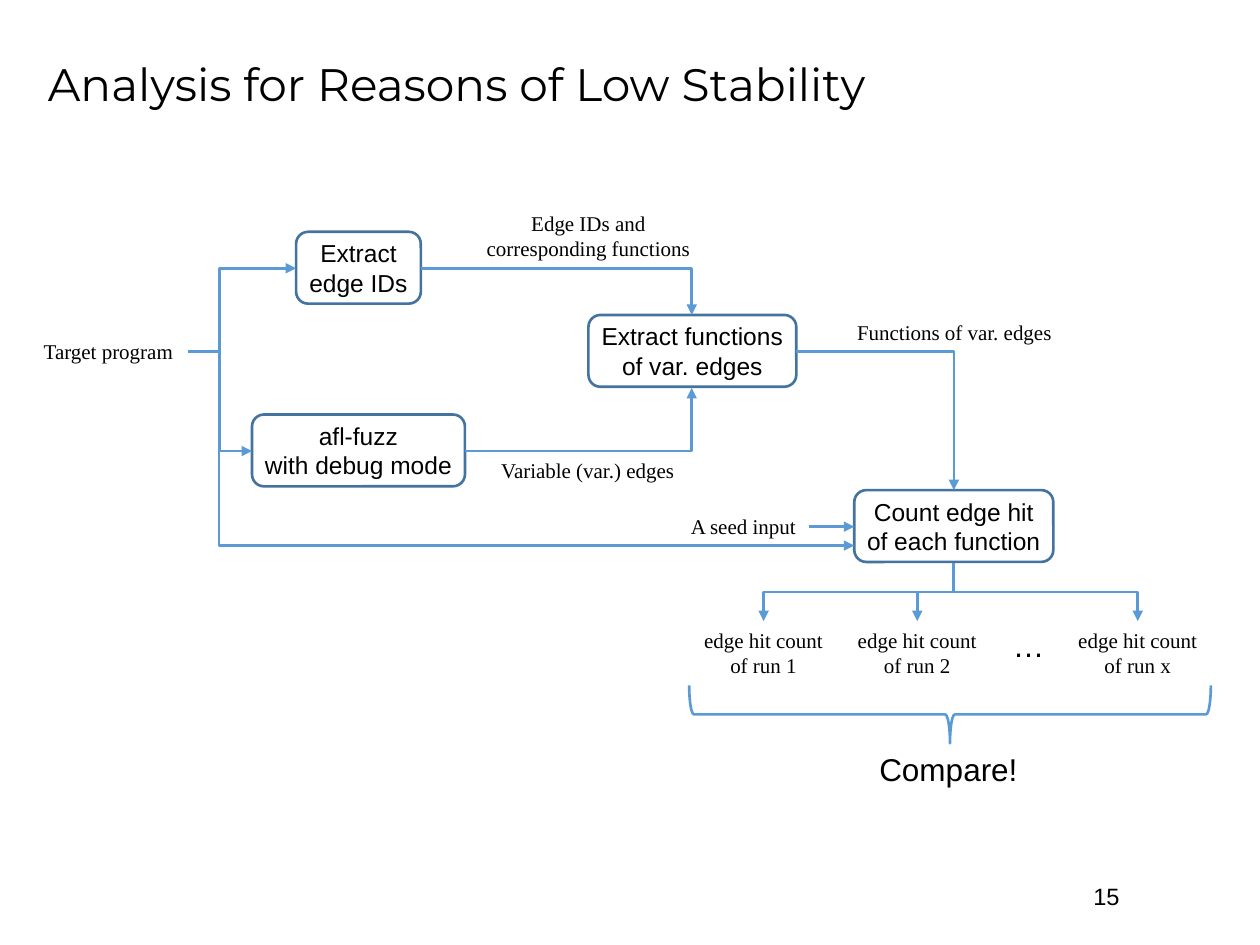
import pptx
import pptx.util
import pptx.dml.color
import pptx.enum.shapes
import pptx.enum.text
import pptx.oxml
import pptx.oxml.ns
from lxml import etree

Inches = pptx.util.Inches
SHAPES = pptx.enum.shapes.MSO_SHAPE
CONNECTORS = pptx.enum.shapes.MSO_CONNECTOR
ALIGN = pptx.enum.text.PP_ALIGN
ANCHOR = pptx.enum.text.MSO_ANCHOR
COLORS = {"text": "000000", "flow": "5B9BD5", "border": "43739E"}


def color(name):
    """Return the named palette colour."""
    return pptx.dml.color.RGBColor.from_string(COLORS[name])


def add_child(parent, tag, **attributes):
    """Append a drawing element with the given attributes."""
    return etree.SubElement(parent, pptx.oxml.ns.qn(tag), **attributes)


class FlowPage:
    """Style and drawing methods for one flow chart slide."""

    sans, serif, heading = "Arial", "Times New Roman", "Montserrat"
    line_width = pptx.util.Pt(1.5)

    def __init__(self, page):
        self.page = page

    def add_lines(self, frame, lines, size, font, align):
        """Add each line as a paragraph with one run."""
        for index, line in enumerate(lines):
            para = frame.paragraphs[0] if index == 0 else frame.add_paragraph()
            para.alignment = align
            span = para.add_run()
            span.text = line
            span.font.size = pptx.util.Pt(size)
            span.font.name = font
            span.font.color.rgb = color("text")

    def title(self, text, left, top, width, height):
        """Place and fill the title placeholder."""
        box = self.page.shapes.title
        box.left, box.top = Inches(left), Inches(top)
        box.width, box.height = Inches(width), Inches(height)
        box.text_frame.vertical_anchor = ANCHOR.MIDDLE
        self.add_lines(box.text_frame, [text], 26, self.heading, ALIGN.LEFT)
        box.text_frame.paragraphs[0].line_spacing = 0.9

    def label(self, lines, left, top, width, height, size=12, font=serif, align=ALIGN.CENTER):
        """Add a text box that fits its text."""
        box = self.page.shapes.add_textbox(*map(Inches, (left, top, width, height)))
        box.text_frame.word_wrap = False
        box.text_frame.auto_size = pptx.enum.text.MSO_AUTO_SIZE.SHAPE_TO_FIT_TEXT
        self.add_lines(box.text_frame, lines, size, font, align)

    def outline(self, kind, left, top, width, height, line):
        """Add an unfilled preset shape."""
        shape = self.page.shapes.add_shape(kind, *map(Inches, (left, top, width, height)))
        shape.shadow.inherit = False
        shape.fill.background()
        shape.line.color.rgb = color(line)
        shape.line.width = self.line_width
        return shape

    def step(self, lines, left, top, width, height=0.57):
        """Add a rounded process step."""
        shape = self.outline(SHAPES.ROUNDED_RECTANGLE, left, top, width, height, "border")
        shape.text_frame.word_wrap = False
        shape.text_frame.vertical_anchor = ANCHOR.MIDDLE
        self.add_lines(shape.text_frame, lines, 14, self.sans, ALIGN.CENTER)

    def arrow(self, start, end, kind=CONNECTORS.STRAIGHT):
        """Add a connector with an arrowhead at its end."""
        link = self.page.shapes.add_connector(kind, *map(Inches, (*start, *end)))
        link.line.color.rgb = color("flow")
        link.line.width = self.line_width
        properties = link._element.spPr
        add_child(properties.find(pptx.oxml.ns.qn("a:ln")), "a:tailEnd", type="triangle")
        add_child(properties, "a:effectLst")
        return properties

    def corner(self, start, end):
        """Add an arrow that runs across, then turns once."""
        properties = self.arrow(start, end, CONNECTORS.ELBOW)
        properties.find(pptx.oxml.ns.qn("a:prstGeom")).set("prst", "bentConnector2")

    def branch(self, start, end, bend_x):
        """Add an arrow that runs across and changes height at bend_x."""
        properties = self.arrow(start, end, CONNECTORS.ELBOW)
        guides = properties.find(".//" + pptx.oxml.ns.qn("a:avLst"))
        ratio = round((bend_x - start[0]) / (end[0] - start[0]) * 100000)
        add_child(guides, "a:gd", name="adj1", fmla=f"val {ratio}")

    def drop(self, start, end):
        """Add an arrow that runs down, across and down again."""
        middle_x, middle_y = (start[0] + end[0]) / 2, (start[1] + end[1]) / 2
        half_width, half_height = (end[1] - start[1]) / 2, abs(end[0] - start[0]) / 2
        to_left = end[0] < start[0]
        reach = half_width if to_left else -half_width
        properties = self.arrow((middle_x - reach, middle_y - half_height),
                                (middle_x + reach, middle_y + half_height), CONNECTORS.ELBOW)
        angle = 90 if to_left else 270
        properties.find(pptx.oxml.ns.qn("a:xfrm")).set("rot", str(angle * 60000))


def main():
    """Build and save the slide."""
    deck = pptx.Presentation()
    deck.slide_width, deck.slide_height = Inches(10), Inches(7.5)
    flow = FlowPage(deck.slides.add_slide(deck.slide_layouts[5]))
    flow.title("Analysis for Reasons of Low Stability", 0.28, 0.17, 9.44, 1.03)

    flow.step(["Extract", "edge IDs"], 2.35, 1.84, 0.99)
    flow.step(["afl-fuzz", "with debug mode"], 2, 3.29, 1.69)
    flow.step(["Extract functions", "of var. edges"], 4.67, 2.5, 1.65)
    flow.step(["Count edge hit", "of each function"], 6.78, 3.89, 1.58)

    flow.label(["Target program"], 0.24, 2.64, 1.24, 0.3)
    flow.label(["Edge IDs and", "corresponding functions"], 3.75, 1.62, 1.84, 0.5)
    flow.label(["Variable (var.) edges"], 3.87, 3.58, 1.59, 0.3)
    flow.label(["Functions of var. edges"], 6.69, 2.49, 1.77, 0.3)
    flow.label(["A seed input"], 5.38, 4.03, 1.04, 0.3)

    for target in ((2.35, 2.13), (2, 3.58), (6.78, 4.33)):
        flow.branch((1.49, 2.79), target, 1.74)
    flow.corner((3.34, 2.13), (5.49, 2.5))
    flow.corner((3.69, 3.58), (5.49, 3.08))
    flow.corner((6.32, 2.79), (7.57, 3.89))
    flow.arrow((6.42, 4.18), (6.78, 4.18))

    for run, center in (("1", 6.06), ("2", 7.28), ("x", 9.03)):
        flow.drop((7.57, 4.47), (center, 4.93))
        flow.label(["edge hit count", f"of run {run}"], center - 0.58, 4.93, 1.16, 0.5)
    flow.label(["…"], 7.94, 4.92, 0.45, 0.4, 18, flow.sans, ALIGN.LEFT)

    brace = flow.outline(SHAPES.LEFT_BRACE, 7.31, 3.6, 0.46, 4.14, "flow")
    brace.rotation = 270
    flow.label(["Compare!"], 6.88, 5.9, 1.31, 0.4, 18, flow.sans, ALIGN.LEFT)
    flow.label(["15"], 8.58, 6.95, 0.43, 0.33, 13.5, flow.sans, ALIGN.LEFT)
    deck.save("out.pptx")


main()
